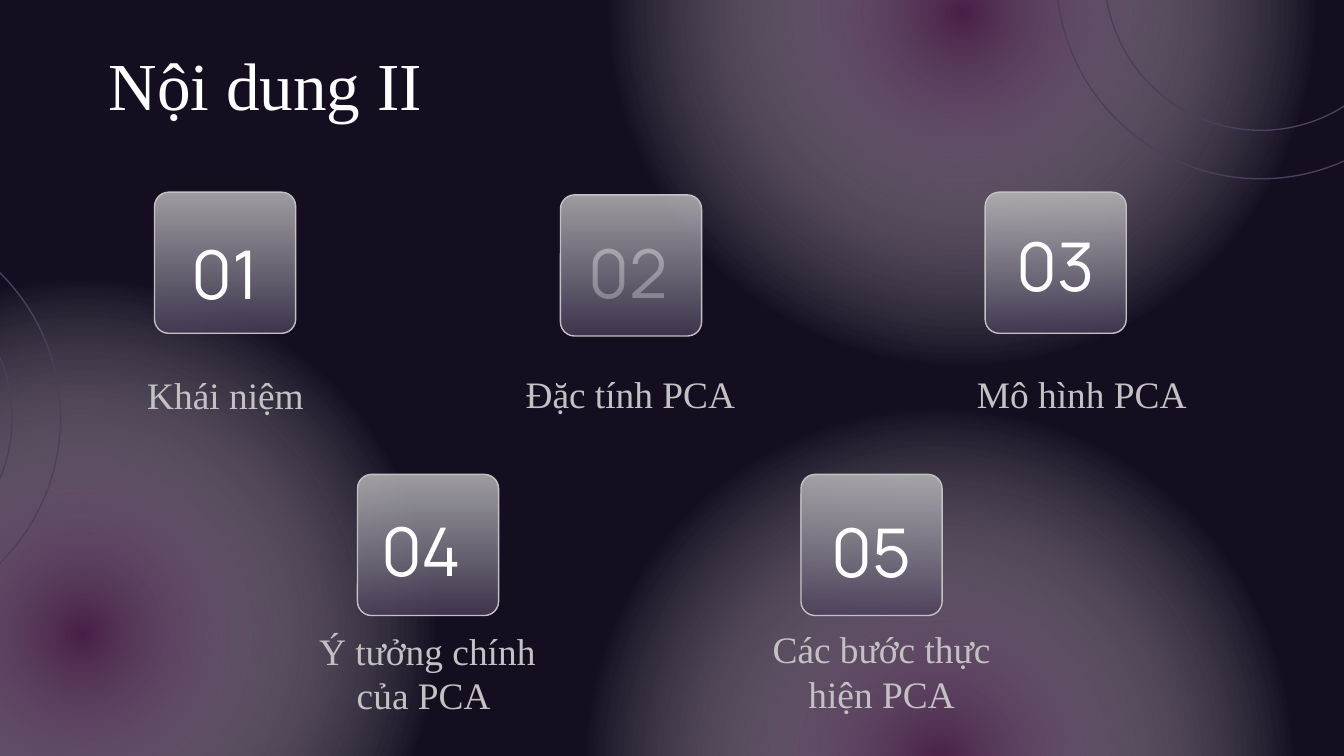
"""Build the agenda slide: five numbered cards over glowing circles."""
from lxml import etree
from pptx import Presentation
from pptx.dml.color import RGBColor
from pptx.enum.shapes import MSO_SHAPE as Kind
from pptx.enum.text import MSO_ANCHOR as Anchor, PP_ALIGN as Align
from pptx.oxml.ns import qn
from pptx.util import Inches, Pt

WIDE = Inches(10)
HIGH = WIDE * 9 // 16
UNIT = WIDE / 100
NIGHT = RGBColor(0x15, 0x0E, 0x21)
PLUM = RGBColor(0x48, 0x1F, 0x49)
SLATE = RGBColor(0x4A, 0x40, 0x5A)
SILVER = RGBColor(0xC2, 0xC2, 0xC2)
WHITE = RGBColor(0xFF, 0xFF, 0xFF)
SERIF, SANS = "Times New Roman", "Manrope"
SIDE, GLOW, RING, GAP = 10.5, 52.6, 30.4, 3.6

GLOWS = [(45.3, -25.4), (43.6, 30.4), (-20.2, 20.8)]
RINGS = [(-25.9, 15.9), (78.6, -17.1)]
CARDS = [(26.6, 35.3), (59.6, 35.3), (73.3, 14.3), (11.5, 14.3)]
VEILED = (41.7, 14.5)
NUMBERS = [("01", 11.5, 17.1), ("02", 41.5, 17), ("03", 73.3, 16.5),
           ("04", 26.1, 37.7), ("05", 59.6, 37.8)]
LABELS = [("Khái niệm", 1.4, 27.5, Align.RIGHT),
          ("Đặc tính PCA", 33.5, 27.4, Align.RIGHT),
          ("Mô hình PCA", 71.7, 27.4, Align.LEFT),
          ("Ý tưởng chính của PCA ", 20.7, 48.2, Align.CENTER),
          ("Các bước thực hiện PCA", 54.5, 48.1, Align.CENTER)]


def box(*parts):
    """Turn hundredths of the slide width into lengths."""
    return [round(part * UNIT) for part in parts]


def shade(shape, stops, radial):
    """Fill a shape with a gradient of (place, colour, opacity) stops."""
    shape.fill.background()
    grad = etree.Element(qn("a:gradFill"), rotWithShape="1")
    rows = etree.SubElement(grad, qn("a:gsLst"))
    for place, tint, alpha in stops:
        stop = etree.SubElement(rows, qn("a:gs"), pos=str(place * 1000))
        ink = etree.SubElement(stop, qn("a:srgbClr"), val=str(tint))
        etree.SubElement(ink, qn("a:alpha"), val=str(alpha * 1000))
    if radial:
        way = etree.SubElement(grad, qn("a:path"), path="circle")
        etree.SubElement(way, qn("a:fillToRect"),
                         dict.fromkeys("ltrb", "50000"))
    else:
        etree.SubElement(grad, qn("a:lin"), ang="5400000", scaled="0")
    props = shape.element.spPr
    props.replace(props.find(qn("a:noFill")), grad)


def add(slide, kind, x, y, size, line=None):
    """Add a square-framed shape with a thin line or none."""
    shape = slide.shapes.add_shape(kind, *box(x, y, size, size))
    shape.shadow.inherit = False
    if line is None:
        shape.line.fill.background()
    else:
        shape.line.color.rgb = line
        shape.line.width = Pt(0.75)
    return shape


def glow(slide, x, y):
    """Add a soft circle that fades outwards."""
    stops = [(0, PLUM, 100), (71, WHITE, 0), (100, WHITE, 0)]
    shade(add(slide, Kind.OVAL, x, y, GLOW), stops, True)


def rings(slide, x, y):
    """Add two concentric outlined circles."""
    for inset in (0, GAP):
        ring = add(slide, Kind.OVAL, x + inset, y + inset,
                   RING - 2 * inset, SLATE)
        ring.fill.background()


def card(slide, x, y):
    """Add a rounded translucent card."""
    shape = add(slide, Kind.ROUNDED_RECTANGLE, x, y, SIDE, SILVER)
    shape.adjustments[0] = 0.1
    shade(shape, [(0, SILVER, 78), (100, SLATE, 78)], False)


def write(slide, words, place, size, face, tint, align,
          anchor=Anchor.MIDDLE, pad=0.1):
    """Add a wrapped one-paragraph text box."""
    frame = slide.shapes.add_textbox(*box(*place)).text_frame
    frame.word_wrap = True
    frame.vertical_anchor = anchor
    frame.margin_left = frame.margin_right = Inches(0.1)
    frame.margin_top = frame.margin_bottom = Inches(pad)
    para = frame.paragraphs[0]
    para.text, para.alignment = words, align
    font = para.font
    font.size, font.name, font.color.rgb = Pt(size), face, tint


def main():
    """Compose and save the slide."""
    deck = Presentation()
    deck.slide_width, deck.slide_height = WIDE, HIGH
    slide = deck.slides.add_slide(deck.slide_layouts[6])
    slide.background.fill.solid()
    slide.background.fill.fore_color.rgb = NIGHT
    for spot in GLOWS:
        glow(slide, *spot)
    for spot in CARDS:
        card(slide, *spot)
    write(slide, "Nội dung II", (7.1, 3.2, 84.4, 4.2), 36, SERIF, WHITE,
          Align.LEFT, Anchor.TOP, 0)
    for words, x, y in NUMBERS:
        write(slide, words, (x, y, SIDE, 6.4), 36, SANS, WHITE, Align.CENTER)
    for words, x, y, align in LABELS:
        write(slide, words, (x, y, 22.2, 3.7), 20, SERIF, SILVER, align)
    for spot in RINGS:
        rings(slide, *spot)
    card(slide, *VEILED)
    deck.save("out.pptx")


if __name__ == "__main__":
    main()
